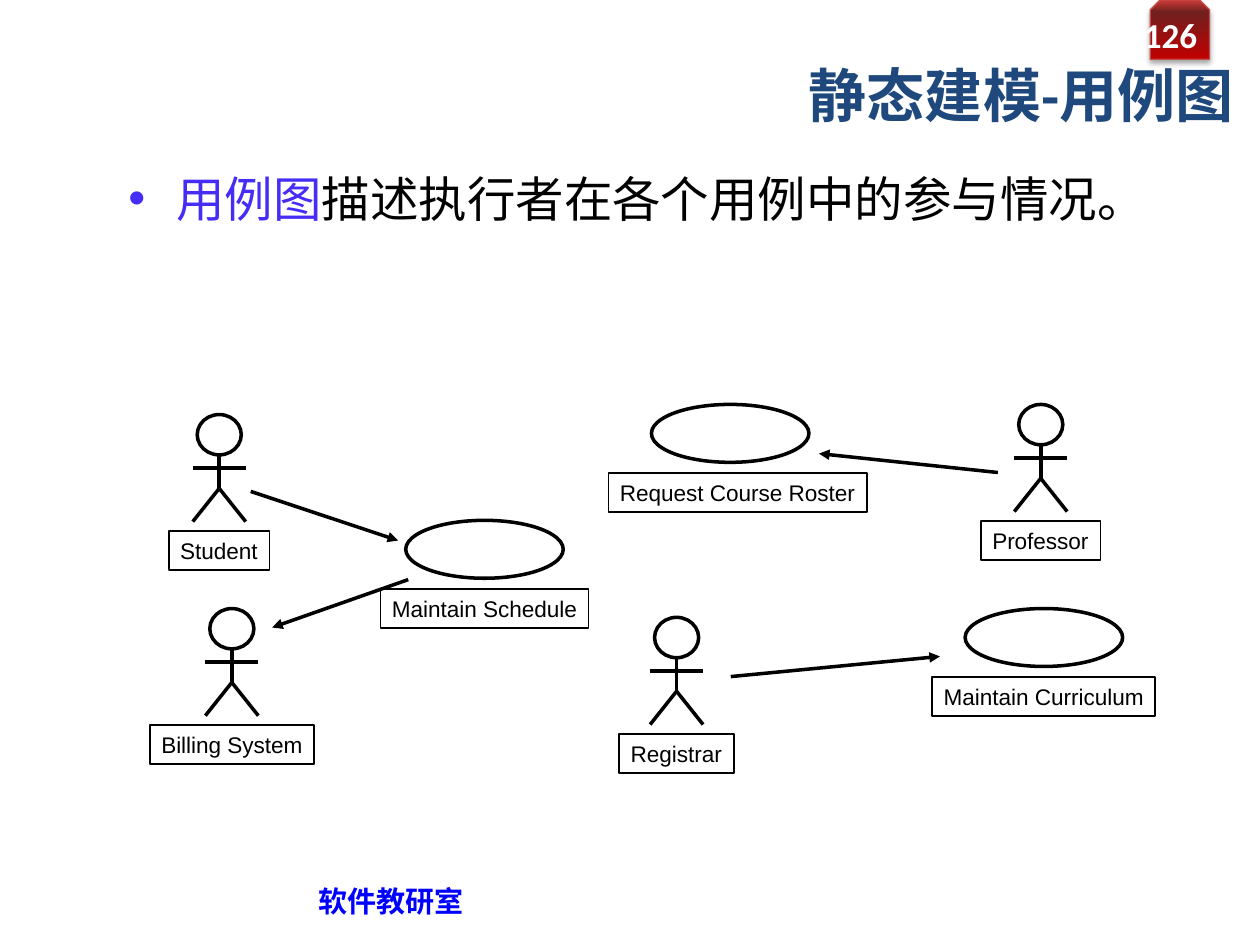
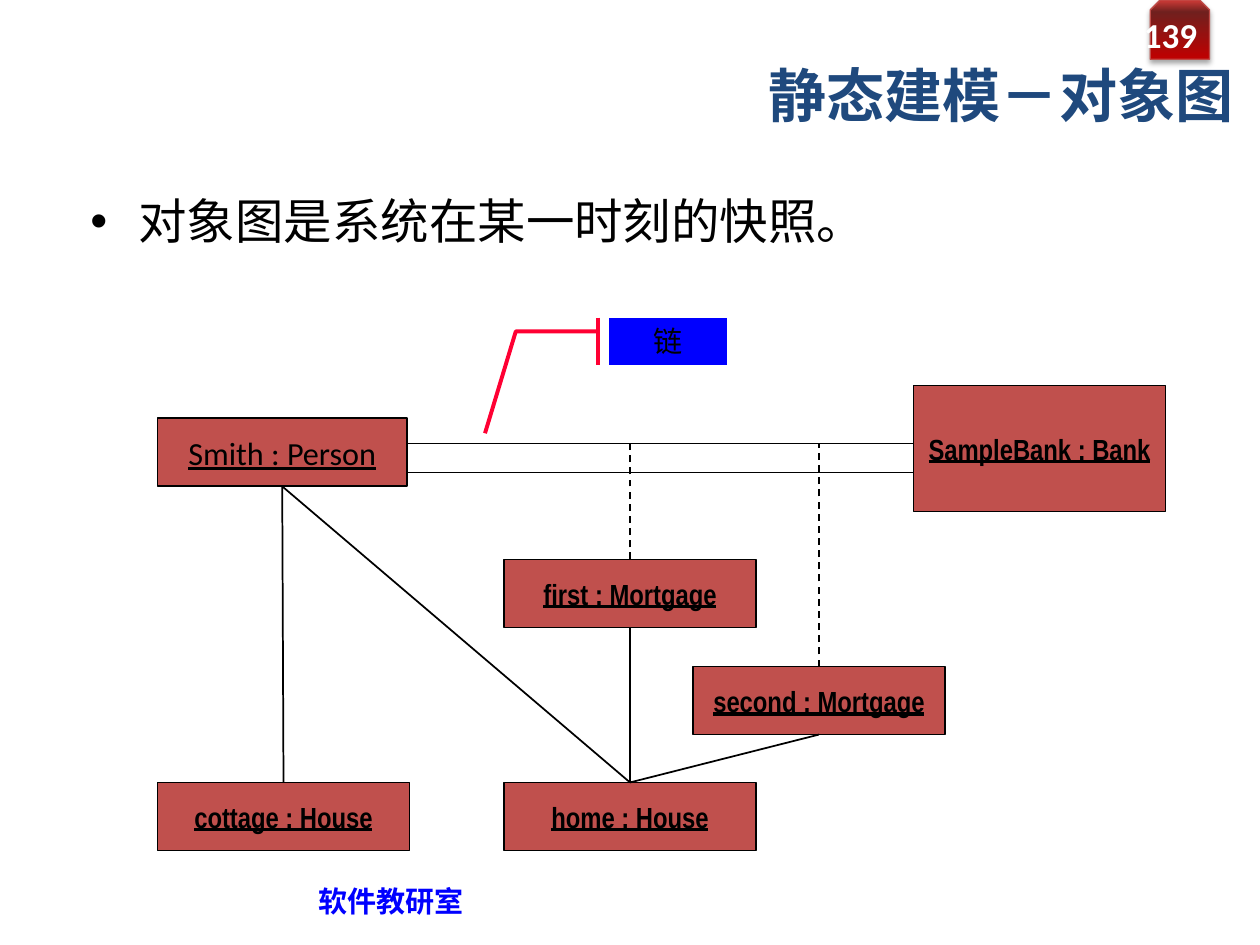
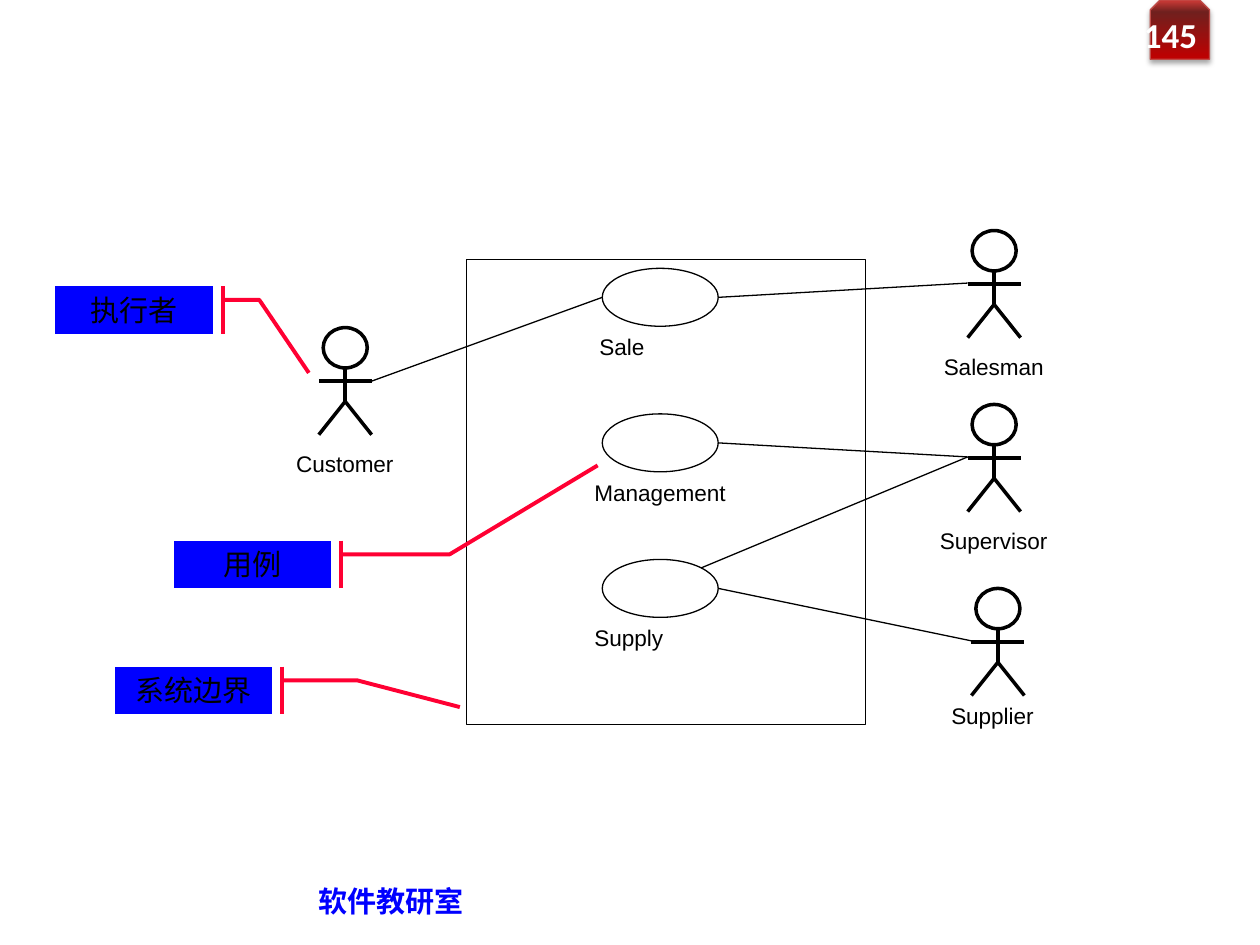
from copy import deepcopy
from dataclasses import dataclass
from math import sqrt

from lxml.etree import SubElement
from pptx import Presentation
from pptx.dml.color import RGBColor
from pptx.enum.dml import MSO_LINE
from pptx.enum.lang import MSO_LANGUAGE_ID
from pptx.enum.shapes import MSO_CONNECTOR, MSO_SHAPE
from pptx.enum.text import MSO_ANCHOR, MSO_AUTO_SIZE, PP_ALIGN
from pptx.oxml.ns import qn
from pptx.util import Inches, Pt

COLUMNS, ROWS = 100, 75  # grid of the slide, in square cells
CELL = 0.1  # inches
BLANK_LAYOUT = 6
TOP, BOTTOM = 0, 2  # connection sites of a rectangle


@dataclass(frozen=True)
class TextStyle:
    font: str
    size: float
    color: str
    bold: bool = False
    underline: bool = False


@dataclass(frozen=True)
class Theme:
    ink: str = "000000"
    highlight: str = "452DF5"
    node: str = "C0504D"
    callout: str = "0000FF"
    leader: str = "FF0033"
    badge_line: str = "BF4C48"
    badge_stops: tuple = ((0, "C00000"), (0.8, "70201E"), (1, "CE3B37"))
    thin: float = 0.75
    normal: float = 1
    accent: float = 2.25
    strong: float = 2
    title: TextStyle = TextStyle("Calibri", 33.2, "1F497D", bold=True)
    body: TextStyle = TextStyle("Calibri", 27.7, "000000")
    number: TextStyle = TextStyle("Calibri", 20, "FFFFFF", bold=True)
    footer: TextStyle = TextStyle("Arial", 16.6, "0000FF", bold=True)
    label: TextStyle = TextStyle("Arial", 12.9, "000000")
    note: TextStyle = TextStyle("Calibri", 16.6, "000000")
    person: TextStyle = TextStyle("Calibri", 18.4, "000000", underline=True)
    thing: TextStyle = TextStyle("Arial Narrow", 16.6, "000000", True, True)


THEME = Theme()


@dataclass(frozen=True)
class Box:
    """An area of the slide, in grid cells."""
    left: float
    top: float
    width: float
    height: float

    def inner(self, left, top, width, height):
        return Box(self.left + left, self.top + top, width, height)

    def point(self, across, down):
        """The point at a share of the width and of the height."""
        return self.left + across * self.width, self.top + down * self.height

    def offset(self, column, row):
        return self.left + column, self.top + row

    def lengths(self):
        return [cells(n) for n in (self.left, self.top, self.width, self.height)]


PAGE = Box(0, 0, COLUMNS, ROWS)


def cells(count):
    return Inches(count * CELL)


def rgb(code):
    return RGBColor.from_string(code)


# Basic parts

def set_line(line, color, width):
    line.color.rgb = rgb(color)
    line.width = Pt(width)


def add_outline(shapes, kind, box, width=THEME.normal, color=THEME.ink, fill=None):
    shape = shapes.add_shape(kind, *box.lengths())
    shape.shadow.inherit = False
    set_line(shape.line, color, width)
    if fill:
        shape.fill.solid()
        shape.fill.fore_color.rgb = rgb(fill)
    else:
        shape.fill.background()
    return shape


def add_line(shapes, start, end, width=THEME.normal, arrow=False, dashed=False):
    line = shapes.add_connector(MSO_CONNECTOR.STRAIGHT,
                                *[cells(n) for n in (*start, *end)])
    set_line(line.line, THEME.ink, width)
    if dashed:
        line.line.dash_style = MSO_LINE.DASH
    properties = line._element.spPr
    if arrow:
        SubElement(properties.find(qn("a:ln")), qn("a:tailEnd"), type="triangle")
    SubElement(properties, qn("a:effectLst"))
    return line


def write(shape, text, style, align=PP_ALIGN.LEFT, anchor=MSO_ANCHOR.MIDDLE,
          wrap=True, grow=False, insets=(0.1, 0.05)):
    frame = shape.text_frame
    frame.word_wrap = wrap
    frame.auto_size = MSO_AUTO_SIZE.SHAPE_TO_FIT_TEXT if grow else MSO_AUTO_SIZE.NONE
    frame.vertical_anchor = anchor
    frame.margin_left = frame.margin_right = Inches(insets[0])
    frame.margin_top = frame.margin_bottom = Inches(insets[1])
    para = frame.paragraphs[0]
    para.alignment = align
    para.add_run().text = text
    set_font(para.font, style)
    return para


def set_font(font, style):
    font.name = style.font
    font.size = Pt(style.size)
    font.bold = style.bold
    font.underline = style.underline
    font.color.rgb = rgb(style.color)
    font.language_id = MSO_LANGUAGE_ID.SIMPLIFIED_CHINESE


def add_text(shapes, box, text, style, **options):
    return write(shapes.add_textbox(*box.lengths()), text, style, **options)


# Regions that the slides share

def add_badge(page, box, number):
    badge = add_outline(page.shapes, MSO_SHAPE.SNIP_2_SAME_RECTANGLE, box,
                        THEME.thin, THEME.badge_line)
    badge.fill.gradient()
    badge.fill.gradient_angle = 90
    properties = badge._element.spPr
    stops = properties.find(qn("a:gradFill")).find(qn("a:gsLst"))
    stops.append(deepcopy(stops[-1]))
    for stop, (position, color) in zip(badge.fill.gradient_stops, THEME.badge_stops):
        stop.position = position
        stop.color.rgb = rgb(color)
    shadow = SubElement(properties.find(qn("a:effectLst")), qn("a:outerShdw"),
                        blurRad=str(Pt(3.1)), dist=str(Pt(1.8)), dir="5400000",
                        rotWithShape="0")
    tint = SubElement(shadow, qn("a:srgbClr"), val=THEME.ink)
    SubElement(tint, qn("a:alpha"), val="35000")
    add_text(page.shapes, box.inner(-1.6, 0.7, 6.3, 4), number, THEME.number,
             align=PP_ALIGN.RIGHT)


def add_page(deck, number, title=None):
    page = deck.slides.add_slide(deck.slide_layouts[BLANK_LAYOUT])
    add_badge(page, PAGE.inner(91.3, 0, 4.7, 4.7), number)
    add_text(page.shapes, PAGE.inner(24.3, 69.5, 13.5, 4), "软件教研室",
             THEME.footer, wrap=False)
    if title:
        add_text(page.shapes, PAGE.inner(39.7, 4.6, 59.2, 5.8), title, THEME.title,
                 align=PP_ALIGN.RIGHT)
    return page


def add_bullet(page, box, text, lead="", spacing=None):
    frame_shape = page.shapes.add_textbox(*box.lengths())
    para = frame_shape.text_frame.paragraphs[0]
    properties = para._p.get_or_add_pPr()
    properties.set("marL", str(Inches(0.38)))
    properties.set("indent", str(-Inches(0.38)))
    SubElement(properties, qn("a:buFont"), typeface="Arial")
    SubElement(properties, qn("a:buChar"), char="•")
    if lead:
        span = para.add_run()
        span.text = lead
        span.font.color.rgb = rgb(THEME.highlight)
    write(frame_shape, text, THEME.body, anchor=MSO_ANCHOR.TOP)
    if spacing:
        para.line_spacing = spacing


# Diagram parts

def add_label(shapes, center, top, width, text, framed):
    box = Box(center - width / 2, top, width, 3.1)
    if framed:
        shape = add_outline(shapes, MSO_SHAPE.RECTANGLE, box)
    else:
        shape = shapes.add_textbox(*box.lengths())
    write(shape, text, THEME.label, wrap=False, grow=True, insets=(0.09, 0.04))


def add_actor(page, box, name, name_width, framed=False, gap=0.75, shift=0):
    shapes = page.shapes.add_group_shape().shapes
    head = box.inner(0.35, 0, 3.5, 3.2)
    add_outline(shapes, MSO_SHAPE.OVAL, head, THEME.strong)
    hip = box.point(0.5, 0.69)
    limbs = [(hip, box.point(0, 1)), (hip, box.point(1, 1)),
             (box.point(0.5, 0.39), hip), (box.point(0, 0.5), box.point(1, 0.5))]
    for start, end in limbs:
        add_line(shapes, start, end, THEME.strong)
    add_label(shapes, hip[0] + shift, box.top + box.height + gap, name_width,
              name, framed)


def add_use_case(page, box, name, name_width, shift=0):
    shapes = page.shapes.add_group_shape().shapes
    add_outline(shapes, MSO_SHAPE.OVAL, box, THEME.strong)
    center = box.left + box.width / 2 + shift
    add_label(shapes, center, box.top + 5.45, name_width, name, framed=True)


def add_callout(page, box, text, bends):
    """Bends are (down, across) shares of the box: start, knee and tip."""
    shape = add_outline(page.shapes, MSO_SHAPE.LINE_CALLOUT_2_ACCENT_BAR, box,
                        THEME.accent, THEME.leader, THEME.callout)
    for index, share in enumerate(sum(bends, ())):
        shape.adjustments[index] = share
    write(shape, text, THEME.note, PP_ALIGN.CENTER, MSO_ANCHOR.TOP, grow=True)


# Diagrams

def draw_course_use_cases(page, box):
    actors = [("Student", 4.3, 0.9, 8), ("Registrar", 40.6, 17, 9.1),
              ("Professor", 69.5, 0.1, 9.5), ("Billing System", 5.3, 16.3, 13)]
    for name, left, top, name_width in actors:
        add_actor(page, box.inner(left, top, 4.2, 8.5), name, name_width, framed=True)
    cases = [("Maintain Schedule", 21.2, 9.3, 16.5, 0),
             ("Maintain Curriculum", 65.6, 16.3, 17.7, 0),
             ("Request Course Roster", 40.7, 0.1, 20.5, 0.6)]
    for name, left, top, name_width, shift in cases:
        add_use_case(page, box.inner(left, top, 12.5, 4.6), name, name_width, shift)
    arrows = [((68.2, 5.5), (54, 4)), ((8.9, 7), (20.6, 10.9)),
              ((21.4, 14), (10.6, 17.8)), ((47, 21.7), (63.6, 20.1))]
    for start, end in arrows:
        add_line(page.shapes, box.offset(*start), box.offset(*end),
                 THEME.strong, arrow=True)


def draw_mortgage_objects(page, box):
    # Objects
    objects = [("Smith : Person", 0, 8.2, 19.8, 5.4),
               ("cottage : House", 0, 37.1, 20, 5.4),
               ("home : House", 27.5, 37.1, 20, 5.4),
               ("first : Mortgage", 27.5, 19.4, 20, 5.4),
               ("second : Mortgage", 42.5, 27.9, 20, 5.4),
               ("SampleBank : Bank", 60, 5.6, 20, 10)]
    nodes = []
    for name, *place in objects:
        node = add_outline(page.shapes, MSO_SHAPE.RECTANGLE, box.inner(*place),
                           fill=THEME.node)
        style = THEME.thing if nodes else THEME.person
        write(node, name, style, PP_ALIGN.CENTER, wrap=False)
        nodes.append(node)
    smith, cottage, home, first, second, bank = nodes

    # Links between objects
    for upper, lower in [(smith, cottage), (smith, home), (first, home), (second, home)]:
        link = add_line(page.shapes, (0, 0), (1, 1))
        link.begin_connect(upper, BOTTOM)
        link.end_connect(lower, TOP)
    for row in (10.2, 12.5):
        add_line(page.shapes, box.offset(19.8, row), box.offset(60, row))
    for mortgage, column in [(first, 37.5), (second, 52.5)]:
        end = box.offset(column, 10.2)
        link = add_line(page.shapes, end, end, dashed=True)
        link.begin_connect(mortgage, TOP)

    add_callout(page, box.inner(35.8, 0.2, 9.4, 3.8), "链",
                [(0.289, -0.089), (0.289, -0.783), (2.418, -1.043)])


def draw_sales_use_cases(page, box):
    # Actors
    people = [("Customer", 20.9, 7.7, 9.6, 0.75, 0),
              ("Salesman", 72.4, 0, 9.8, 0.75, 0),
              ("Supervisor", 72.4, 13.8, 10.4, 0.75, 0),
              ("Supplier", 72.7, 28.4, 8.4, 0, -0.4)]
    actors = []
    for name, left, top, name_width, gap, shift in people:
        actor = box.inner(left, top, 4.2, 8.5)
        add_actor(page, actor, name, name_width, gap=gap, shift=shift)
        actors.append(actor)
    customer, salesman, supervisor, supplier = actors

    # System boundary and its use cases
    add_outline(page.shapes, MSO_SHAPE.RECTANGLE, box.inner(32.6, 2.3, 31.7, 36.9),
                THEME.thin)
    cases = []
    captions = [("Sale", -1.2), ("Management", -1.6), ("Supply", -1.6)]
    for index, (name, shift) in enumerate(captions):
        case = box.inner(43.4, 3 + index * 11.55, 9.2, 4.6)
        add_outline(page.shapes, MSO_SHAPE.OVAL, case, THEME.thin)
        add_text(page.shapes, case.inner(shift, 4.65, 13.3, 3.2), name, THEME.label,
                 anchor=MSO_ANCHOR.TOP, grow=True)
        cases.append(case)
    sale, management, supply = cases

    # Associations
    diagonal = sqrt(0.5) / 2
    corner = supply.point(0.5 + diagonal, 0.5 - diagonal)
    associations = [(customer.point(1, 0.5), sale.point(0, 0.5)),
                    (sale.point(1, 0.5), salesman.point(0, 0.49)),
                    (management.point(1, 0.5), supervisor.point(0, 0.49)),
                    (supply.point(1, 0.5), supplier.point(0, 0.49)),
                    (supervisor.point(0, 0.49), corner)]
    for start, end in associations:
        add_line(page.shapes, start, end, THEME.thin)

    # Callouts
    callouts = [("执行者", 0, 4.4, 1.294, (1.815, 1.609)),
                ("用例", 9.4, 24.6, 1.751, (-1.57, 2.691)),
                ("系统边界", 4.7, 34.6, 1.54, (0.847, 2.192))]
    for text, left, top, knee, tip in callouts:
        add_callout(page, box.inner(left, top, 12.5, 3.8), text,
                    [(0.289, 1.062), (0.289, knee), tip])


def main():
    deck = Presentation()
    deck.slide_width = cells(COLUMNS)
    deck.slide_height = cells(ROWS)

    page = add_page(deck, "126", "静态建模-用例图")
    add_bullet(page, PAGE.inner(9.2, 12.9, 79.3, 6),
               "描述执行者在各个用例中的参与情况。", lead="用例图")
    draw_course_use_cases(page, PAGE.inner(11, 32, 82, 30))

    page = add_page(deck, "139", "静态建模－对象图")
    add_bullet(page, PAGE.inner(6.2, 15.2, 85, 5.3),
               "对象图是系统在某一时刻的快照。", spacing=0.9)
    draw_mortgage_objects(page, PAGE.inner(12.5, 25, 80, 42.5))

    page = add_page(deck, "145")
    draw_sales_use_cases(page, PAGE.inner(4.4, 18.3, 80, 40))

    deck.save("out.pptx")


if __name__ == "__main__":
    main()
